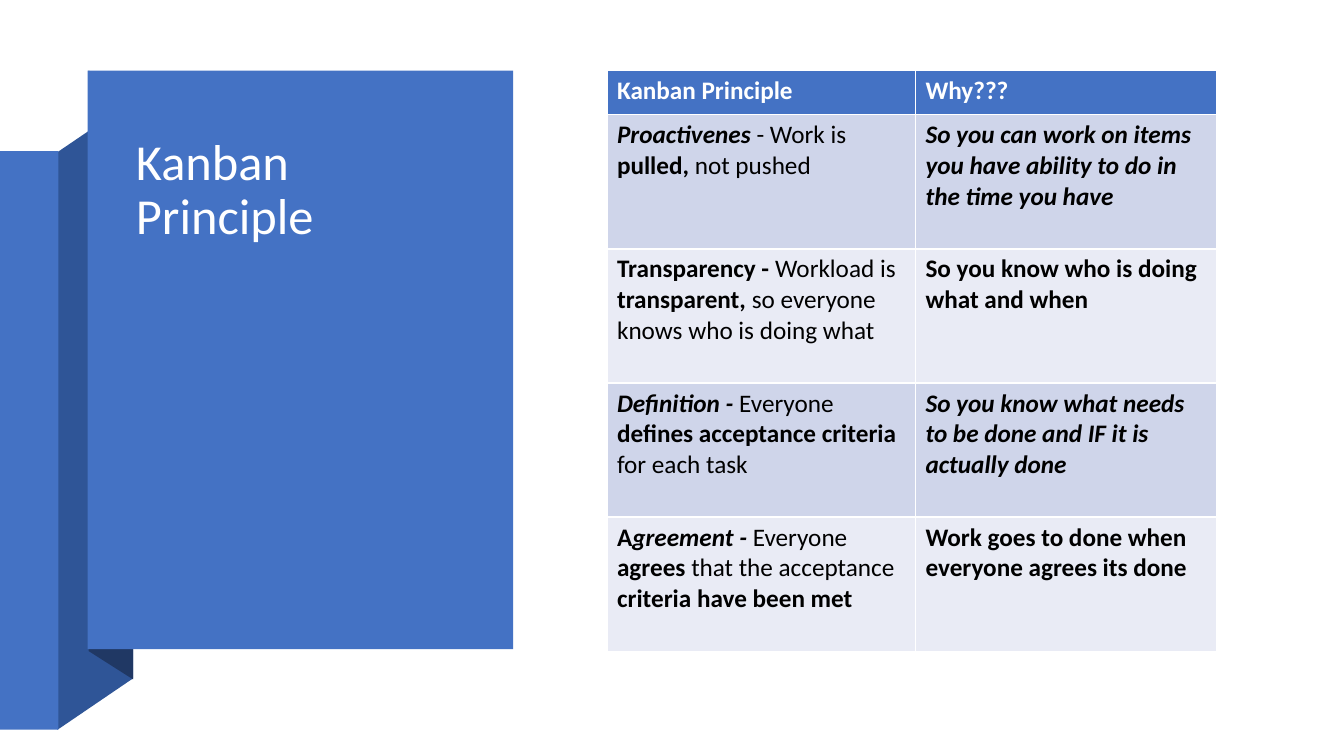
from pptx import Presentation
from pptx import util as u
from pptx.dml.color import RGBColor
from pptx.enum import shapes, text

PX = u.Inches(1) // 100
FONT = "Calibri"
BLUE = RGBColor(0x44, 0x72, 0xC4)
FOLD = RGBColor(0x2F, 0x55, 0x97)
DARK_FOLD = RGBColor(0x20, 0x38, 0x64)
BANDS = RGBColor(0xCF, 0xD5, 0xEA), RGBColor(0xE9, 0xEB, 0xF5)
WHITE = RGBColor(0xFF, 0xFF, 0xFF)
BLACK = RGBColor(0, 0, 0)

TITLE = "Kanban Principle"
# Each cell is a list of (words, style); b is bold, i is italic.
ROWS = [
    [[("Kanban Principle", "b")], [("Why???", "b")]],
    [[("Proactivenes ", "bi"), ("- Work is ", ""), ("pulled, ", "b"), ("not pushed", "")],
     [("So you can work on items you have ability to do in the time you have", "bi")]],
    [[("Transparency - ", "b"), ("Workload is ", ""), ("transparent, ", "b"),
      ("so everyone knows who is doing what", "")],
     [("So you know who is doing what and when", "b")]],
    [[("Definition -", "bi"), (" Everyone ", ""), ("defines acceptance criteria ", "b"),
      ("for each task", "")],
     [("So you know what needs to be done and IF it is actually done", "bi")]],
    [[("A", "b"), ("greement -", "bi"), (" Everyone ", ""), ("agrees ", "b"),
      ("that the acceptance ", ""), ("criteria have been met", "b")],
     [("Work goes to done when everyone agrees its done", "b")]],
]
COLUMN_WIDTHS = [306, 299]
ROW_HEIGHTS = [44] + [133] * 4
TABLE_LEFT, TABLE_TOP = 602, 70

# Back to front: a ribbon folding behind the title panel.
RIBBON = [
    ([(57, 724), (132, 673), (132, 100), (57, 151)], FOLD),
    ([(0, 150), (58, 150), (58, 724), (0, 724)], BLUE),
    ([(88, 646), (132, 674), (132, 99), (88, 70)], DARK_FOLD),
    ([(87, 70), (509, 70), (509, 644), (87, 644)], BLUE),
]


def is_rectangle(points):
    return len({x for x, y in points}) == len({y for x, y in points}) == 2


def add_panel(page, points, color):
    if is_rectangle(points):
        (left, top), (right, bottom) = points[0], points[2]
        panel = page.shapes.add_shape(
            shapes.MSO_SHAPE.RECTANGLE, left * PX, top * PX,
            (right - left) * PX, (bottom - top) * PX)
    else:
        outline = page.shapes.build_freeform(*points[0], scale=PX)
        outline.add_line_segments(points[1:], close=True)
        panel = outline.convert_to_shape()
    panel.shadow.inherit = False
    panel.fill.solid()
    panel.fill.fore_color.rgb = color
    panel.line.fill.background()


def add_title(page):
    box = page.shapes.add_textbox(125 * PX, 109 * PX, 348 * PX, 161 * PX)
    frame = box.text_frame
    frame.word_wrap = True
    frame.vertical_anchor = text.MSO_ANCHOR.MIDDLE
    para = frame.paragraphs[0]
    para.text = TITLE
    para.line_spacing = 0.9
    para.font.name, para.font.size = FONT, u.Pt(36)
    para.font.color.rgb = WHITE


def fill_cell(cell, spans, background, color):
    cell.fill.solid()
    cell.fill.fore_color.rgb = background
    para = cell.text_frame.paragraphs[0]
    for words, style in spans:
        span = para.add_run()
        span.text = words
        font = span.font
        font.name, font.size = FONT, u.Pt(18)
        font.color.rgb = color
        font.bold, font.italic = "b" in style, "i" in style


def add_principles(page):
    table = page.shapes.add_table(
        len(ROWS), len(COLUMN_WIDTHS), TABLE_LEFT * PX, TABLE_TOP * PX,
        sum(COLUMN_WIDTHS) * PX, sum(ROW_HEIGHTS) * PX).table
    for column, width in zip(table.columns, COLUMN_WIDTHS):
        column.width = width * PX
    for index, (cells, height) in enumerate(zip(ROWS, ROW_HEIGHTS)):
        table.rows[index].height = height * PX
        background, color = (BANDS[(index - 1) % 2], BLACK) if index else (BLUE, WHITE)
        for cell, spans in zip(table.rows[index].cells, cells):
            fill_cell(cell, spans, background, color)


def main():
    deck = Presentation()
    deck.slide_width, deck.slide_height = 1333 * PX, 750 * PX
    page = deck.slides.add_slide(deck.slide_layouts[6])
    for points, color in RIBBON:
        add_panel(page, points, color)
    add_title(page)
    add_principles(page)
    deck.save("out.pptx")


if __name__ == "__main__":
    main()
